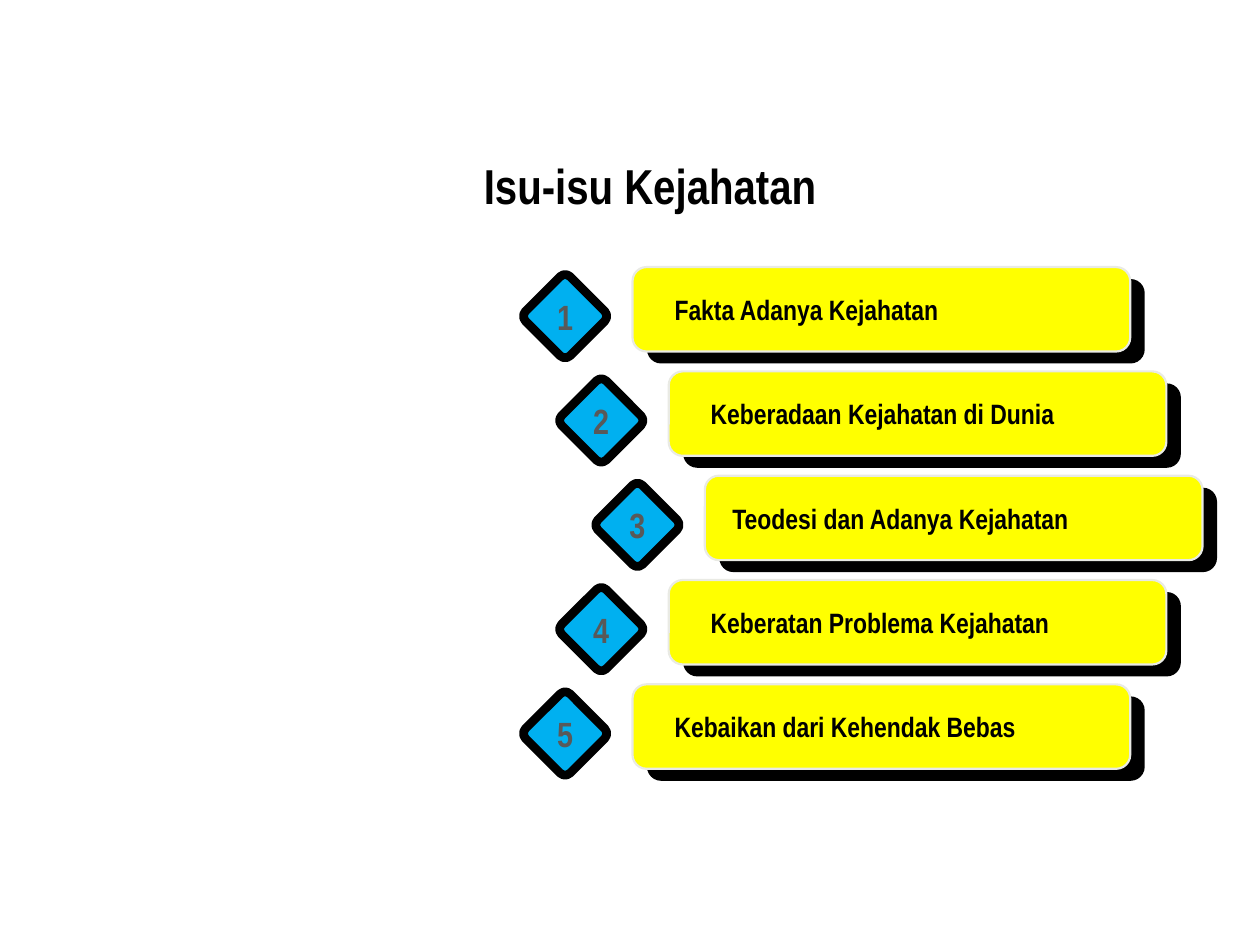
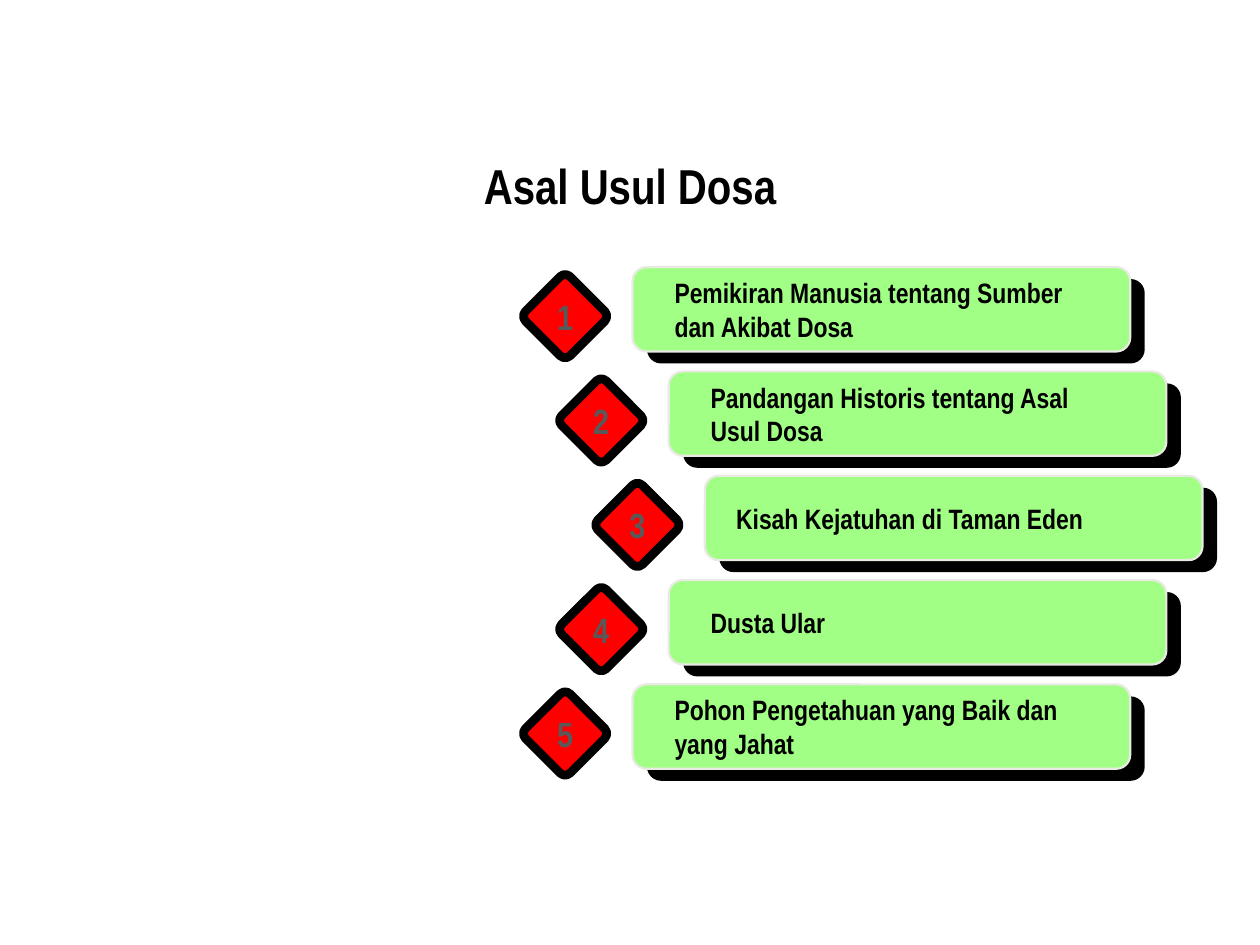
"""Builds two slides, each listing five numbered topics on staggered panels."""
from math import ceil

from pptx import Presentation
from pptx.dml.color import RGBColor
from pptx.enum.shapes import MSO_SHAPE as Shape
from pptx.enum.text import MSO_ANCHOR as Anchor, MSO_AUTO_SIZE as AutoSize, PP_ALIGN as Align
from pptx.util import Inches, Pt

BLACK = RGBColor(0x00, 0x00, 0x00)
GREY = RGBColor(0x59, 0x59, 0x59)
PALE = RGBColor(0xE9, 0xEA, 0xE4)
YELLOW = RGBColor(0xFF, 0xFF, 0x00)
BLUE = RGBColor(0x00, 0xB0, 0xF0)
GREEN = RGBColor(0xA2, 0xFF, 0x85)
RED = RGBColor(0xFF, 0x00, 0x00)

FONT = "Arial Narrow"
COLS, ROWS = 100, 75
PANEL_W, PANEL_H = 39.5, 6.7
LEFT, STAGGER = 50.2, 2.87
TOP, PITCH = 21.2, 8.28
LABEL_INDENT = 2.35
CHARS_PER_LINE = 32

SLIDES = [
    ("Isu-isu Kejahatan", YELLOW, BLUE, [
        ("Fakta Adanya Kejahatan", LABEL_INDENT),
        ("Keberadaan Kejahatan di Dunia", LABEL_INDENT),
        ("Teodesi dan Adanya Kejahatan", 1.2),
        ("Keberatan Problema Kejahatan", LABEL_INDENT),
        ("Kebaikan dari Kehendak Bebas", LABEL_INDENT),
    ]),
    ("Asal Usul Dosa", GREEN, RED, [
        ("Pemikiran Manusia tentang Sumber dan Akibat Dosa", LABEL_INDENT),
        ("Pandangan Historis tentang Asal Usul Dosa", LABEL_INDENT),
        ("Kisah Kejatuhan di Taman Eden", 1.5),
        ("Dusta Ular", LABEL_INDENT),
        ("Pohon Pengetahuan yang Baik dan yang Jahat", LABEL_INDENT),
    ]),
]


class Deck:
    """Holds the presentation, its grid and text style, and the current slide."""

    def __init__(self):
        self.prs = Presentation()
        self.prs.slide_width, self.prs.slide_height = Inches(10), Inches(7.5)
        self.s = None

    def box(self, col, row, cols, rows):
        """Turns grid columns and rows into a position and size."""
        cw, rh = self.prs.slide_width / COLS, self.prs.slide_height / ROWS
        return round(col * cw), round(row * rh), round(cols * cw), round(rows * rh)

    def set_text(self, sp, text, size, color, align, auto_size):
        """Sets the one paragraph of a shape in the deck's bold font."""
        tf = sp.text_frame
        tf.text = text
        tf.word_wrap, tf.auto_size = True, auto_size
        tf.vertical_anchor = Anchor.MIDDLE
        p = tf.paragraphs[0]
        p.alignment = align
        p.font.name, p.font.size, p.font.bold = FONT, Pt(size), True
        p.font.color.rgb = color

    def slide(self, title):
        """Starts a title-only slide."""
        self.s = self.prs.slides.add_slide(self.prs.slide_layouts[5])
        sp = self.s.shapes.title
        sp.left, sp.top, sp.width, sp.height = self.box(37.4, 11.5, 62.6, 6.3)
        self.set_text(sp, title, 28, BLACK, Align.LEFT, AutoSize.NONE)

    def text(self, group, text, place, size, color, align=Align.LEFT):
        """Adds a text box to a group."""
        sp = group.shapes.add_textbox(*self.box(*place))
        self.set_text(sp, text, size, color, align, AutoSize.SHAPE_TO_FIT_TEXT)

    def panel(self, group, place, fill, line=None, width=0):
        """Adds a rounded rectangle to a group."""
        sp = group.shapes.add_shape(Shape.ROUNDED_RECTANGLE, *self.box(*place))
        sp.shadow.inherit = False
        sp.fill.solid()
        sp.fill.fore_color.rgb = fill
        if line is None:
            sp.line.fill.background()
        else:
            sp.line.color.rgb = line
            sp.line.width = Pt(width)
        return sp

    def topic(self, index, count, label, indent, fill, accent):
        """Adds one numbered topic, shifted right towards the middle of the list."""
        x = LEFT + STAGGER * min(index, count - 1 - index)
        y = TOP + PITCH * index
        group = self.s.shapes.add_group_shape()
        self.panel(group, (x + 1.15, y + 0.95, PANEL_W, PANEL_H), BLACK)
        self.panel(group, (x, y, PANEL_W, PANEL_H), fill, PALE, 1.25)
        height = 1 + 2.7 * ceil(len(label) / CHARS_PER_LINE)
        middle = y + PANEL_H / 2
        self.text(group, label, (x + indent, middle - height / 2, 33.1, height), 16, BLACK)
        diamond = self.panel(group, (x - 7.85, y + 1.4, 5, 5), accent, BLACK, 5)
        diamond.adjustments[0] = 0.11
        diamond.rotation = 45
        self.text(group, str(index + 1), (x - 7, y + 1.7, 3.3, 4.4), 20, GREY, Align.CENTER)


def main():
    deck = Deck()
    for title, fill, accent, topics in SLIDES:
        deck.slide(title)
        for i, (label, indent) in enumerate(topics):
            deck.topic(i, len(topics), label, indent, fill, accent)
    deck.prs.save("out.pptx")


if __name__ == "__main__":
    main()
